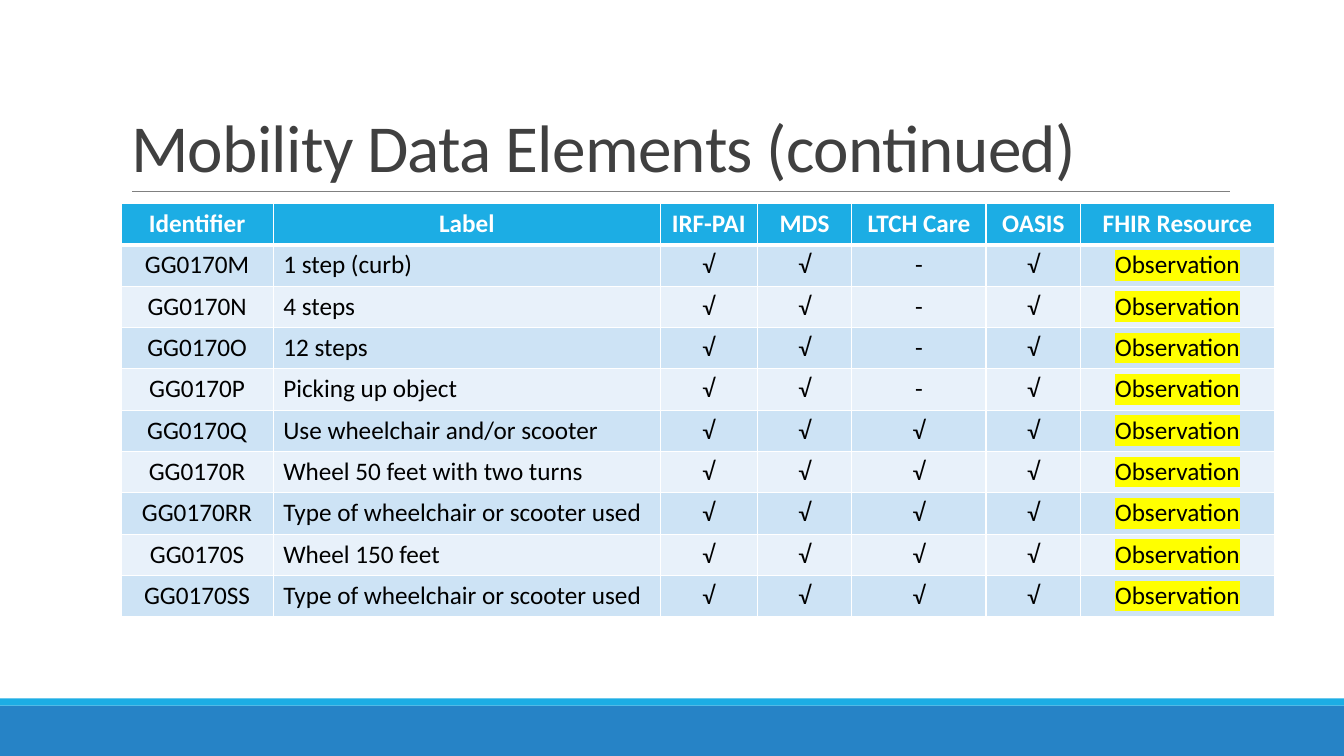
import pptx
import pptx.dml.color
import pptx.enum.shapes
import pptx.enum.text
import pptx.oxml
import pptx.oxml.ns
import pptx.util
from lxml import etree

Inches = pptx.util.Inches
Pt = pptx.util.Pt
ALIGN = pptx.enum.text.PP_ALIGN
ANCHOR = pptx.enum.text.MSO_ANCHOR

COLORS = {
    "title": "404040", "rule": "808080", "footer": "2683C6", "accent": "1CADE4",
    "odd_row": "CDE3F5", "even_row": "E8F1FA", "header_text": "FFFFFF",
    "body_text": "000000", "border": "FFFFFF", "highlight": "FFFF00",
}
TITLE_FONT = {"name": "Calibri", "size": Pt(48), "bold": False}
HEADER_FONT = {"name": "Calibri", "size": Pt(18), "bold": True}
BODY_FONT = {"name": "Calibri", "size": Pt(18), "bold": False}

COLUMNS = {
    "Identifier": 1.51, "Label": 3.84, "IRF-PAI": 0.96, "MDS": 0.94,
    "LTCH Care": 1.33, "OASIS": 0.94, "FHIR Resource": 1.92,
}
ROW_HEIGHT = 0.41
CHECK = "√"
RESOURCE = "Observation"
# Identifier, label, LTCH Care mark
ELEMENTS = [
    ("GG0170M", "1 step (curb)", "-"),
    ("GG0170N", "4 steps", "-"),
    ("GG0170O", "12 steps", "-"),
    ("GG0170P", "Picking up object", "-"),
    ("GG0170Q", "Use wheelchair and/or scooter", CHECK),
    ("GG0170R", "Wheel 50 feet with two turns", CHECK),
    ("GG0170RR", "Type of wheelchair or scooter used", CHECK),
    ("GG0170S", "Wheel 150 feet", CHECK),
    ("GG0170SS", "Type of wheelchair or scooter used", CHECK),
]


def rgb(name):
    """Return the named colour."""
    return pptx.dml.color.RGBColor.from_string(COLORS[name])


def apply_format(target, values):
    """Set every attribute in values on target."""
    for attribute, value in values.items():
        setattr(target, attribute, value)


def add_color(parent, name):
    """Append an sRGB colour element to parent."""
    etree.SubElement(parent, pptx.oxml.ns.qn("a:srgbClr"), val=COLORS[name])


def write_text(paragraph, text, font_values, color):
    """Add a formatted run to the paragraph and return it."""
    run = paragraph.add_run()
    run.text = text
    apply_format(run.font, font_values)
    run.font.color.rgb = rgb(color)
    return run


def highlight_run(run):
    """Mark the run with the highlight colour."""
    fill = run.font._element.find(pptx.oxml.ns.qn("a:solidFill"))
    highlight = etree.Element(pptx.oxml.ns.qn("a:highlight"))
    add_color(highlight, "highlight")
    fill.addnext(highlight)


def set_borders(cell, widths):
    """Draw cell borders from a dict of side to width in points."""
    properties = cell._tc.get_or_add_tcPr()
    for position, (side, width) in enumerate(widths.items()):
        line = etree.Element(pptx.oxml.ns.qn(f"a:ln{side}"), w=str(Pt(width)))
        fill = etree.SubElement(line, pptx.oxml.ns.qn("a:solidFill"))
        add_color(fill, "border")
        properties.insert(position, line)


def build_title(slide, text, left, top, width, height):
    """Place the title in its box, with a thin rule along the bottom."""
    title = slide.shapes.title
    apply_format(title, {"left": Inches(left), "top": Inches(top),
                         "width": Inches(width), "height": Inches(height)})
    apply_format(title.text_frame, {
        "vertical_anchor": ANCHOR.BOTTOM, "word_wrap": True,
        "auto_size": pptx.enum.text.MSO_AUTO_SIZE.NONE})
    paragraph = title.text_frame.paragraphs[0]
    apply_format(paragraph, {"alignment": ALIGN.LEFT, "line_spacing": 0.85})
    run = write_text(paragraph, text, TITLE_FONT, "title")
    run.font._element.set("spc", "-50")

    bottom = Inches(top + height)
    rule = slide.shapes.add_connector(
        pptx.enum.shapes.MSO_CONNECTOR.STRAIGHT,
        Inches(left + 0.11), bottom, Inches(left + width + 0.01), bottom)
    rule.line.color.rgb = rgb("rule")
    rule.line.width = Pt(0.5)
    etree.SubElement(rule._element.spPr, pptx.oxml.ns.qn("a:effectLst"))


def build_footer(slide, left, top, width, height):
    """Fill the box with a footer band under a narrow accent strip."""
    strip = 0.07
    bands = [("footer", top + strip, height - strip), ("accent", top, strip)]
    for color, band_top, band_height in bands:
        band = slide.shapes.add_shape(
            pptx.enum.shapes.MSO_SHAPE.RECTANGLE,
            Inches(left), Inches(band_top), Inches(width), Inches(band_height))
        band.fill.solid()
        band.fill.fore_color.rgb = rgb(color)
        band.line.fill.background()
        band.shadow.inherit = False


def build_table(slide, left, top):
    """Place the table of data elements with its corner at left, top."""
    rows = [list(COLUMNS)]
    for identifier, label, ltch_mark in ELEMENTS:
        rows.append([identifier, label, CHECK, CHECK, ltch_mark, CHECK, RESOURCE])
    table = slide.shapes.add_table(
        len(rows), len(COLUMNS), Inches(left), Inches(top),
        Inches(sum(COLUMNS.values())), Inches(ROW_HEIGHT * len(rows))).table
    for column, width in zip(table.columns, COLUMNS.values()):
        column.width = Inches(width)

    for row_index, values in enumerate(rows):
        is_header = row_index == 0
        fill = "accent" if is_header else "odd_row" if row_index % 2 else "even_row"
        font = HEADER_FONT if is_header else BODY_FONT
        color = "header_text" if is_header else "body_text"
        borders = {"L": 1, "R": 1, "T": 3 if row_index == 1 else 1,
                   "B": 3 if is_header else 1}
        for column_index, text in enumerate(values):
            cell = table.cell(row_index, column_index)
            cell.fill.solid()
            cell.fill.fore_color.rgb = rgb(fill)
            set_borders(cell, borders)
            paragraph = cell.text_frame.paragraphs[0]
            is_label = column_index == 1 and not is_header
            paragraph.alignment = ALIGN.LEFT if is_label else ALIGN.CENTER
            run = write_text(paragraph, text, font, color)
            if text == RESOURCE:
                highlight_run(run)


def main():
    """Build and save the slide."""
    presentation = pptx.Presentation()
    apply_format(presentation, {"slide_width": Inches(13.33),
                                "slide_height": Inches(7.5)})
    slide = presentation.slides.add_slide(presentation.slide_layouts[5])
    build_footer(slide, 0, 6.93, 13.33, 0.57)
    build_title(slide, "Mobility Data Elements (continued)", 1.2, 0.31, 10.99, 1.59)
    build_table(slide, 1.2, 2.02)
    presentation.save("out.pptx")


main()
